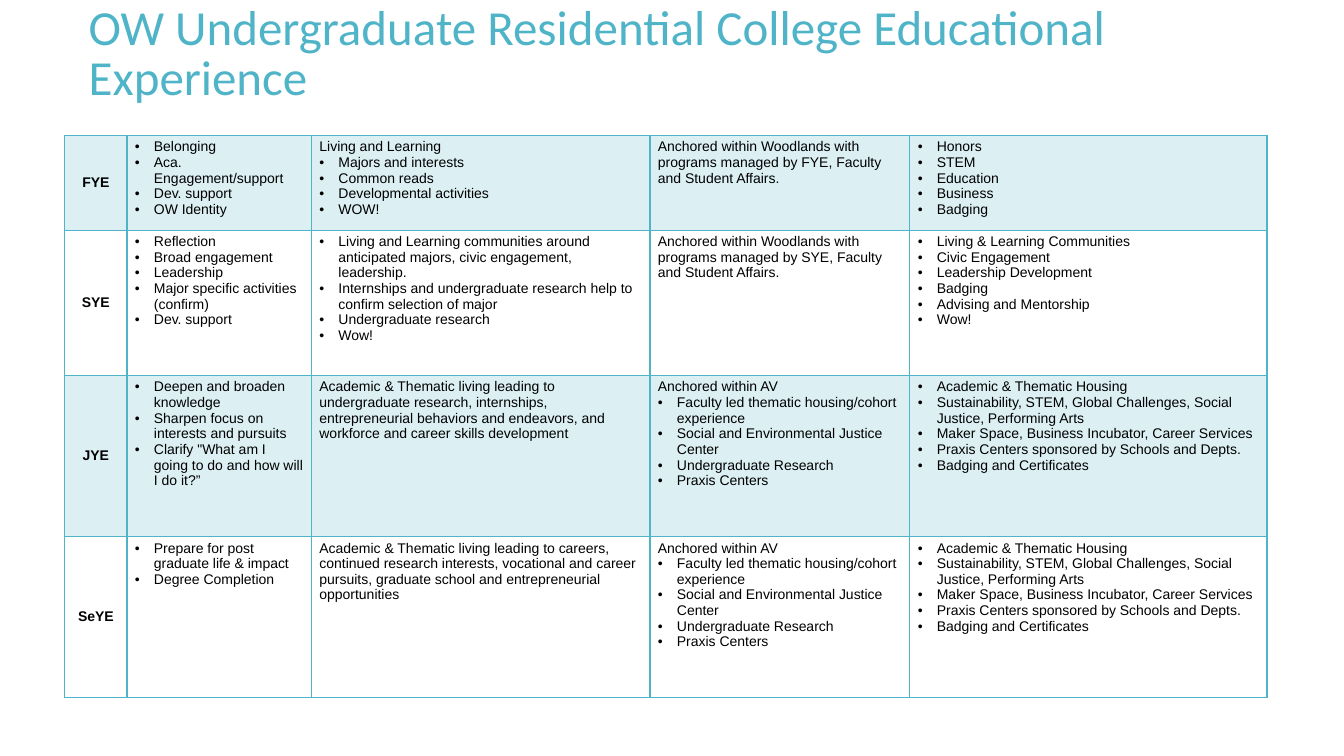
from dataclasses import dataclass

from lxml import etree
from pptx import Presentation
from pptx import util as u
from pptx.dml.color import RGBColor
from pptx.enum import text
from pptx.oxml import ns


@dataclass(frozen=True)
class Theme:
    """Colours, fonts and type sizes of the slide."""
    teal: str = "50B4C8"
    ink: str = "000000"
    head_font: str = "Calibri"
    body_font: str = "Arial"
    head_size: int = 35
    body_size: int = 10
    tint: int = 20000


THEME = Theme()
TITLE = "OW Undergraduate Residential College Educational Experience"
COLS = (1.57, 4.65, 8.53, 6.55, 9.0)
ROWS = (2.39, 3.66, 4.06, 4.06)
YEARS = [
    ("FYE",
     "•Belonging\n•Aca. Engagement/support\n•Dev. support\n•OW Identity",
     "Living and Learning\n•Majors and interests\n•Common reads\n"
     "•Developmental activities\n•WOW!",
     "Anchored within Woodlands with programs managed by FYE, Faculty and Student Affairs.",
     "•Honors\n•STEM\n•Education\n•Business\n•Badging"),
    ("SYE",
     "•Reflection\n•Broad engagement\n•Leadership\n"
     "•Major specific activities (confirm)\n•Dev. support",
     "•Living and Learning communities around anticipated majors, civic engagement, leadership.\n"
     "•Internships and undergraduate research help to confirm selection of major\n"
     "•Undergraduate research\n•Wow!",
     "Anchored within Woodlands with programs managed by SYE, Faculty and Student Affairs.",
     "•Living & Learning Communities\n•Civic Engagement\n•Leadership Development\n"
     "•Badging\n•Advising and Mentorship\n•Wow!"),
    ("JYE",
     "•Deepen and broaden knowledge\n•Sharpen focus on interests and pursuits\n"
     "•Clarify \"What am I going to do and how will I do it?”",
     "Academic & Thematic living leading to undergraduate research, internships, "
     "entrepreneurial behaviors and endeavors, and workforce and career skills development",
     "Anchored within AV\n•Faculty led thematic housing/cohort experience\n"
     "•Social and Environmental Justice Center\n•Undergraduate Research\n•Praxis Centers",
     "•Academic & Thematic Housing\n"
     "•Sustainability, STEM, Global Challenges, Social Justice, Performing Arts\n"
     "•Maker Space, Business Incubator, Career Services\n"
     "•Praxis Centers sponsored by Schools and Depts.\n•Badging and Certificates"),
    ("SeYE",
     "•Prepare for post graduate life & impact\n•Degree Completion",
     "Academic & Thematic living leading to careers, continued research interests, "
     "vocational and career pursuits, graduate school and entrepreneurial opportunities",
     "Anchored within AV\n•Faculty led thematic housing/cohort experience\n"
     "•Social and Environmental Justice Center\n•Undergraduate Research\n•Praxis Centers",
     "•Academic & Thematic Housing\n"
     "•Sustainability, STEM, Global Challenges, Social Justice, Performing Arts\n"
     "•Maker Space, Business Incubator, Career Services\n"
     "•Praxis Centers sponsored by Schools and Depts.\n•Badging and Certificates"),
]


def add_bullet(para):
    """Give a paragraph a round bullet with a hanging indent."""
    props = para._p.get_or_add_pPr()
    props.set("marL", str(u.Cm(0.48)))
    props.set("indent", str(-u.Cm(0.48)))
    tone = etree.SubElement(props, ns.qn("a:buClr"))
    etree.SubElement(tone, ns.qn("a:srgbClr"), val=THEME.ink)
    etree.SubElement(props, ns.qn("a:buFont"), typeface=THEME.body_font)
    etree.SubElement(props, ns.qn("a:buChar"), char="•")


def write(frame, words, size=THEME.body_size, font=THEME.body_font, color=THEME.ink,
          bold=False, align=text.PP_ALIGN.LEFT, pitch=None):
    """Fill a text frame, one paragraph a line, with bullets where marked."""
    for i, line in enumerate(words.split("\n")):
        para = frame.add_paragraph() if i else frame.paragraphs[0]
        para.alignment = align
        if pitch:
            para.line_spacing = pitch
        if line.startswith("•"):
            add_bullet(para)
        run = para.add_run()
        run.text = line.removeprefix("•")
        run.font.size = u.Pt(size)
        run.font.name = font
        run.font.bold = bold
        run.font.color.rgb = RGBColor.from_string(color)


def paint(cell, tinted):
    """Set the fill and the four borders of a cell."""
    props = cell._tc.get_or_add_tcPr()
    if tinted:
        cell.fill.solid()
        cell.fill.fore_color.rgb = RGBColor.from_string(THEME.teal)
        tone = props.find(".//" + ns.qn("a:srgbClr"))
        etree.SubElement(tone, ns.qn("a:alpha"), val=str(THEME.tint))
    else:
        cell.fill.background()
    for i, side in enumerate("LRTB"):
        edge = etree.Element(ns.qn(f"a:ln{side}"), w=str(u.Pt(1)))
        solid = etree.SubElement(edge, ns.qn("a:solidFill"))
        etree.SubElement(solid, ns.qn("a:srgbClr"), val=THEME.teal)
        props.insert(i, edge)


def draw_title(slide, left, top, width, height):
    """Place and format the title in its box."""
    title = slide.shapes.title
    title.left, title.top, title.width, title.height = left, top, width, height
    frame = title.text_frame
    frame.word_wrap = True
    frame.auto_size = text.MSO_AUTO_SIZE.NONE
    frame.vertical_anchor = text.MSO_ANCHOR.TOP
    write(frame, TITLE, size=THEME.head_size, font=THEME.head_font,
          color=THEME.teal, pitch=0.85)


def draw_years(slide, left, top, width, height):
    """Draw the table of years, its columns and rows scaled to the box."""
    table = slide.shapes.add_table(len(ROWS), len(COLS), left, top, width, height).table
    table.first_row = table.horz_banding = False
    for col, share in zip(table.columns, COLS):
        col.width = int(width * share / sum(COLS))
    for row, share in zip(table.rows, ROWS):
        row.height = int(height * share / sum(ROWS))
    for r, year in enumerate(YEARS):
        for c, words in enumerate(year):
            cell = table.cell(r, c)
            cell.margin_left = cell.margin_right = u.Cm(0.2)
            cell.margin_top = cell.margin_bottom = u.Cm(0.1)
            paint(cell, tinted=r % 2 == 0)
            if c == 0:
                cell.vertical_anchor = text.MSO_ANCHOR.MIDDLE
                write(cell.text_frame, words, bold=True, align=text.PP_ALIGN.CENTER)
            else:
                cell.vertical_anchor = text.MSO_ANCHOR.TOP
                write(cell.text_frame, words)


def main():
    """Build the slide and save it."""
    deck = Presentation()
    deck.slide_width, deck.slide_height = u.Cm(33.87), u.Cm(19.05)
    slide = deck.slides.add_slide(deck.slide_layouts[5])
    draw_title(slide, u.Cm(1.98), u.Cm(0), u.Cm(29.92), u.Cm(1.93))
    draw_years(slide, u.Cm(1.63), u.Cm(3.41), u.Cm(sum(COLS)), u.Cm(sum(ROWS)))
    deck.save("out.pptx")


if __name__ == "__main__":
    main()
